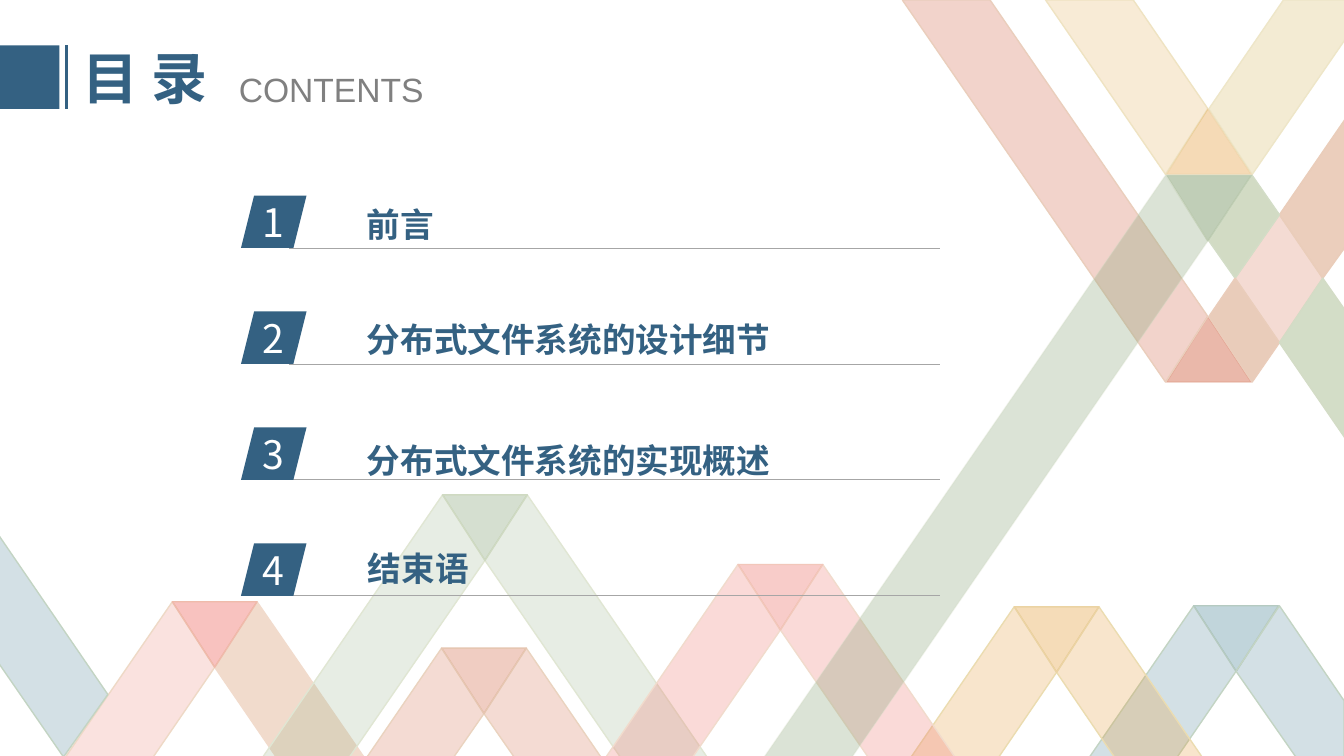
import pptx
import pptx.util
import pptx.dml.color
import pptx.enum.shapes
import pptx.enum.text
import pptx.oxml.ns
from dataclasses import dataclass
from lxml import etree

# ---- Content: lengths in px, 100 px to the inch ----
HEADING = "目 录"
SUBHEADING = "CONTENTS"

# label, left, top, height, line spacing
ENTRIES = [
    ("前言", 354, 197, 50, 1.0),
    ("分布式文件系统的设计细节", 354, 311, 50, 1.0),
    ("分布式文件系统的实现概述", 354, 412, 64, 1.5),
    ("结束语", 355, 539, 50, 1.0),
]

# Paint: fill, fill opacity %, line, line opacity %
PINK = ("EE8F82", 25, "EED9C6", 100)
SAND = ("F1DBCC", 100, "F1DBCC", 100)
ROSE = ("ED6F65", 25, "F1DBCC", 100)
SAGE = ("A2B894", 25, "E0E6D3", 100)
CLAY = ("D57053", 25, "EAD3BF", 100)
AMBER = ("E49B35", 25, "EBDCB0", 100)
BLUE = ("508799", 25, "C3D4C3", 100)

# cap left, top, foot, left leg, right leg (None: drawn as a band), cap
CHEVRONS = [
    (171, 597, 754, PINK, SAND, ("ED5249", 35, "EFBBAB", 100)),
    (439, 491, 755, SAGE, SAGE, ("89A67A", 35, "CFDAC2", 100)),
    (438, 643, 754, CLAY, CLAY, ("D57053", 35, "E6C6B1", 100)),
    (1184, 601, 752, BLUE, None, ("508799", 35, "B5CAC1", 100)),
    (1006, 602, 755, AMBER, AMBER, ("E49B35", 35, "EBD3A3", 100)),
    (732, 560, 754, ROSE, ROSE, ("ED6F65", 35, "F2C7BA", 100)),
]

# Bands that run off the slide or cross at the upper right
BANDS = [
    ([(1157, 379), (1198, 314), (1241, 379)], ("D57053", 49, "DF9B83", 49)),
    ([(1037, 0), (1124, 0), (1198, 108), (1156, 173)], ("E7B05E", 25, "EFE3C2", 100)),
    ([(1273, 0), (1335, 0), (1335, 38), (1242, 173), (1199, 108)],
     ("EFE3C2", 71, "EEE6C8", 100)),
    ([(1269, 213), (1312, 276), (1269, 340), (1225, 276)], ("D57053", 25, "EAD3BE", 100)),
    ([(1335, 117), (1335, 244), (1312, 276), (1269, 213)], ("EBCEBC", 100, "EACDBA", 100)),
    ([(1242, 174), (1269, 213), (1225, 276), (1199, 239)], ("D2DBC4", 100, "D3DDC7", 100)),
    ([(1225, 276), (1269, 340), (1242, 379), (1199, 314)], ("E9CCBA", 100, "EACDBB", 100)),
    ([(1312, 276), (1335, 309), (1335, 436), (1269, 340)], ("D3DDC7", 100, "D3DCC6", 100)),
    ([(1157, 173), (1198, 108), (1241, 173)], ("E49B35", 36, "EBD09D", 36)),
    ([(1157, 174), (1241, 174), (1198, 239)], ("88A378", 53, "B3C4A5", 53)),
    ([(-4, 527), (107, 689), (63, 751), (-4, 654)], BLUE),
    ([(1269, 601), (1333, 695), (1333, 752), (1286, 752), (1226, 666)], BLUE),
    ([(895, 0), (982, 0), (1198, 314), (1156, 379)], ("D57053", 30, "EACEBC", 100)),
    ([(1156, 174), (1198, 239), (843, 754), (756, 754)], ("88A378", 30, "D3DCC5", 30)),
]


@dataclass
class Theme:
    navy: str = "346182"
    grey: str = "808080"
    rule: str = "A6A6A6"
    white: str = "FFFFFF"
    cjk: str = "Noto Sans CJK SC"
    latin: str = "Arial"
    heading: int = 40
    number: int = 28
    body: int = 24


THEME = Theme()
PX = 9144
CAP_WIDTH, CAP_HEIGHT, SLOPE = 84, 65, 1.455
ROW_TOP, ROW_PITCH = 194, 115
ALIGN = pptx.enum.text.PP_ALIGN
ANCHOR = pptx.enum.text.MSO_ANCHOR
SHAPES = pptx.enum.shapes.MSO_SHAPE
qn = pptx.oxml.ns.qn


def px(*lengths):
    return [round(length * PX) for length in lengths]


def rgb(colour):
    return pptx.dml.color.RGBColor.from_string(colour)


def set_fill(fill, colour, opacity=100):
    fill.solid()
    fill.fore_color.rgb = rgb(colour)
    if opacity < 100:
        node = fill._xPr.find(qn("a:solidFill")).find(qn("a:srgbClr"))
        etree.SubElement(node, qn("a:alpha"), val=str(opacity * 1000))


def add_polygon(page, points, paint):
    colour, opacity, edge, edge_opacity = paint
    corners = [(round(x), round(y)) for x, y in points]
    builder = page.shapes.build_freeform(*corners[0], scale=PX)
    builder.add_line_segments(corners[1:], close=True)
    shape = builder.convert_to_shape()
    shape.shadow.inherit = False
    set_fill(shape.fill, colour, opacity)
    shape.line.width = pptx.util.Pt(1)
    set_fill(shape.line.fill, edge, edge_opacity)


def add_chevron(page, left, top, foot, left_paint, right_paint, cap_paint):
    right, middle = left + CAP_WIDTH, left + CAP_WIDTH / 2
    outer = (foot - top) / SLOPE
    inner = (foot - top - CAP_HEIGHT) / SLOPE
    tip = (middle, top + CAP_HEIGHT)
    for corner, side, paint in ((left, -1, left_paint), (right, 1, right_paint)):
        if paint:
            leg = [(corner, top), tip, (middle + side * inner, foot),
                   (corner + side * outer, foot)]
            add_polygon(page, leg, paint)
    add_polygon(page, [(left, top), (right, top), tip], cap_paint)


def add_block(page, kind, left, top, width, height):
    shape = page.shapes.add_shape(kind, *px(left, top, width, height))
    shape.shadow.inherit = False
    set_fill(shape.fill, THEME.navy)
    shape.line.fill.background()


def add_rule(page, x1, y1, x2, y2, colour, weight):
    line = page.shapes.add_connector(
        pptx.enum.shapes.MSO_CONNECTOR.STRAIGHT, *px(x1, y1, x2, y2))
    line.line.width = pptx.util.Pt(weight)
    line.line.color.rgb = rgb(colour)
    etree.SubElement(line._element.spPr, qn("a:effectLst"))


def write(box, text, size, colour, face, bold=False, align=ALIGN.LEFT,
          anchor=ANCHOR.TOP, wrap=True, spacing=1.0):
    frame = box.text_frame
    frame.word_wrap = wrap
    frame.auto_size = pptx.enum.text.MSO_AUTO_SIZE.NONE
    frame.vertical_anchor = anchor
    para = frame.paragraphs[0]
    para.alignment = align
    para.line_spacing = spacing
    span = para.add_run()
    span.text = text
    span.font.size = pptx.util.Pt(size)
    span.font.bold = bold
    span.font.color.rgb = rgb(colour)
    span.font.name = face
    etree.SubElement(span.font._element, qn("a:ea"), typeface=face)


def main():
    deck = pptx.Presentation()
    deck.slide_width, deck.slide_height = px(1333, 750)
    page = deck.slides.add_slide(deck.slide_layouts[5])

    # Ribbon background
    for chevron in CHEVRONS:
        add_chevron(page, *chevron)
    for points, paint in BANDS:
        add_polygon(page, points, paint)

    # Heading
    add_block(page, SHAPES.RECTANGLE, 0, 45, 59, 63)
    add_rule(page, 66, 45, 66, 108, THEME.navy, 2.25)
    title = page.shapes.title
    title.left, title.top, title.width, title.height = px(72, 38, 154, 77)
    write(title, HEADING, THEME.heading, THEME.navy, THEME.cjk, bold=True,
          anchor=ANCHOR.MIDDLE)
    box = page.shapes.add_textbox(*px(227, 63, 250, 50))
    write(box, SUBHEADING, THEME.body, THEME.grey, THEME.latin)

    # Numbered entries
    for index, (label, left, top, height, spacing) in enumerate(ENTRIES):
        row = ROW_TOP + index * ROW_PITCH
        add_rule(page, 287, row + 52, 932, row + 52, THEME.rule, 0.5)
        add_block(page, SHAPES.PARALLELOGRAM, 239, row, 65, 52)
        box = page.shapes.add_textbox(*px(240, row - 2, 63, 57))
        write(box, str(index + 1), THEME.number, THEME.white, THEME.cjk,
              align=ALIGN.CENTER)
        width = 20 + 34 * len(label)
        box = page.shapes.add_textbox(*px(left, top, width, height))
        write(box, label, THEME.body, THEME.navy, THEME.cjk, bold=True,
              wrap=False, spacing=spacing)

    deck.save("out.pptx")


if __name__ == "__main__":
    main()
